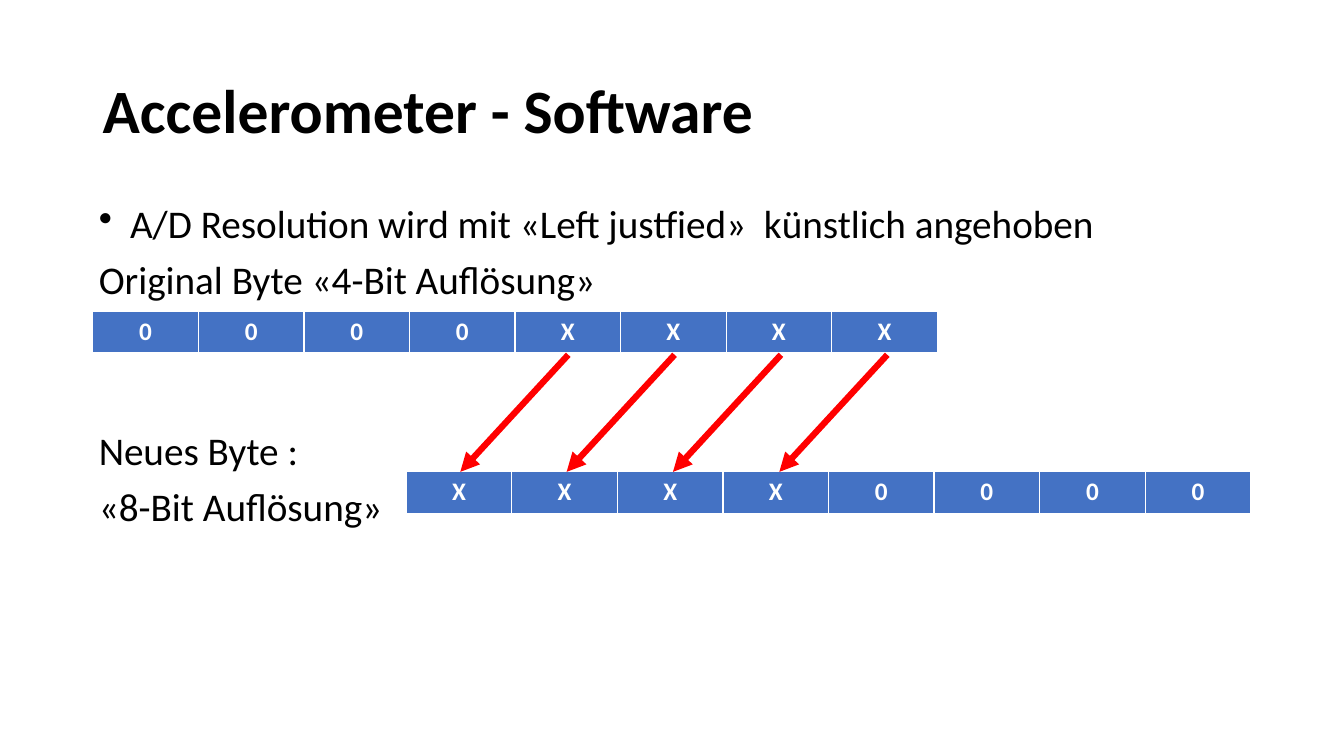
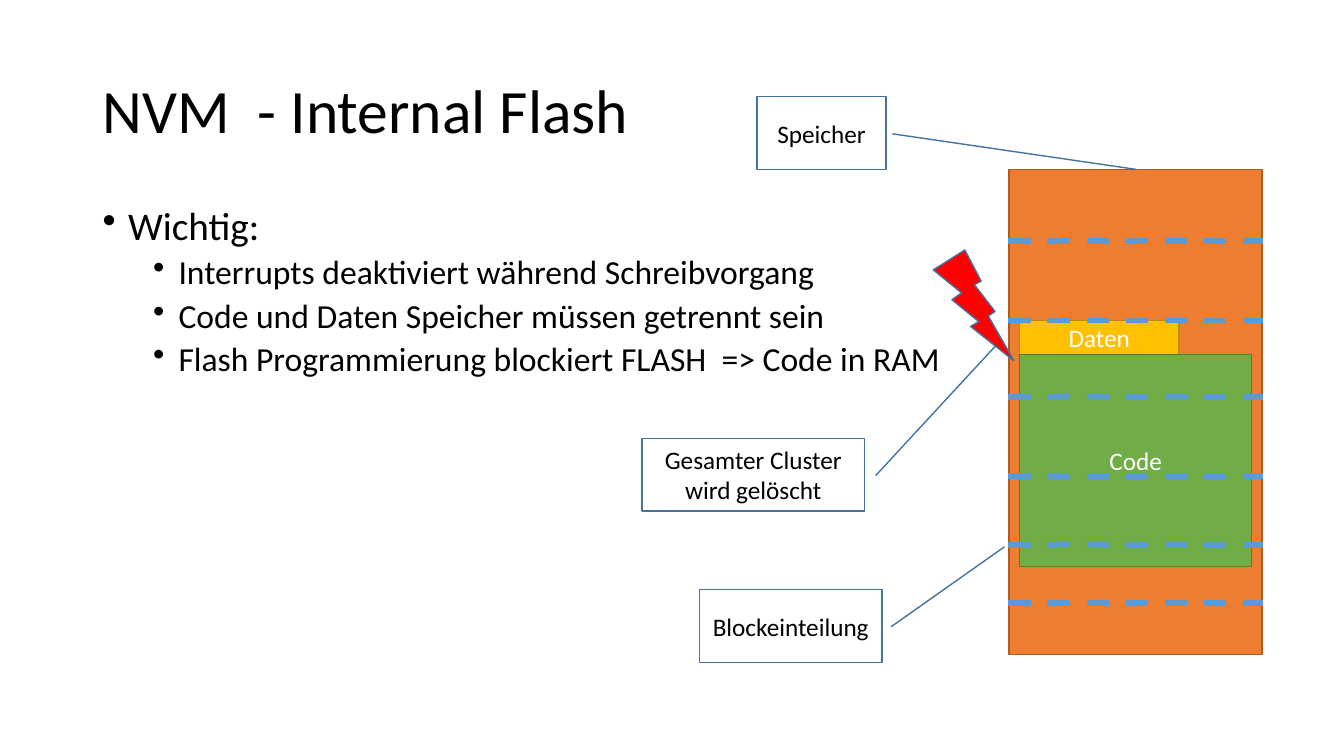
from dataclasses import dataclass

from lxml import etree
from pptx import Presentation
from pptx import util as u
from pptx.dml.color import RGBColor
from pptx.enum import dml, shapes, text
from pptx.oxml.ns import qn


@dataclass(frozen=True)
class Theme:
    font: str = "Calibri"
    ink: str = "000000"
    paper: str = "FFFFFF"
    bits: str = "4472C4"
    alert: str = "FF0000"
    outline: str = "43739E"
    memory: str = "ED7D31"
    memory_edge: str = "AF5C24"
    data: str = "FFC000"
    data_edge: str = "BD8E00"
    code: str = "70AD47"
    code_edge: str = "538035"
    divider: str = "5B9BD5"
    title_size: int = 44
    body_size: int = 28
    sub_size: int = 24
    label_size: int = 18


THEME = Theme()
TITLE_AREA = (2.34, 1.02, 29.21, 3.68)


def assign(target, values):
    for name, value in values.items():
        setattr(target, name, value)


class SlideBuilder:
    def __init__(self, theme):
        self.theme = theme
        self.deck = Presentation()
        assign(self.deck, {"slide_width": u.Cm(33.87), "slide_height": u.Cm(19.05)})
        self.page = None

    def new_page(self, title, bold=False):
        self.page = self.deck.slides.add_slide(self.deck.slide_layouts[6])
        frame = self.text_area(TITLE_AREA, text.MSO_ANCHOR.MIDDLE)
        para = frame.paragraphs[0]
        para.line_spacing = 0.9
        self.add_span(para, title, self.theme.title_size, bold=bold)

    def text_area(self, area, anchor):
        box = self.page.shapes.add_textbox(*map(u.Cm, area))
        assign(box.text_frame, {"word_wrap": True, "vertical_anchor": anchor})
        return box.text_frame

    def add_span(self, para, words, size, color=None, bold=False):
        span = para.add_run()
        span.text = words
        assign(span.font, {"name": self.theme.font, "size": u.Pt(size), "bold": bold})
        span.font.color.rgb = RGBColor.from_string(color or self.theme.ink)

    def body(self, area, lines):
        frame = self.text_area(area, text.MSO_ANCHOR.TOP)
        for index, (words, size, before, margin, hanging) in enumerate(lines):
            para = frame.add_paragraph() if index else frame.paragraphs[0]
            assign(para, {"line_spacing": 0.9, "space_before": u.Pt(before)})
            self.add_span(para, words, size)
            if hanging:
                props = para._p.get_or_add_pPr()
                props.set("marL", str(u.Cm(margin)))
                props.set("indent", str(-u.Cm(hanging)))
                etree.SubElement(props, qn("a:buChar"), char="•")

    def bit_row(self, left, top, column, bits):
        area = (left, top, column * len(bits), 1.04)
        table = self.page.shapes.add_table(1, len(bits), *map(u.Cm, area)).table
        table.horz_banding = False
        for cell, bit in zip(table.rows[0].cells, bits):
            cell.fill.solid()
            cell.fill.fore_color.rgb = RGBColor.from_string(self.theme.bits)
            para = cell.text_frame.paragraphs[0]
            para.alignment = text.PP_ALIGN.CENTER
            self.add_span(para, bit, self.theme.label_size, self.theme.paper, True)

    def line(self, start, end, color, width, dash=None, arrow=False):
        link = self.page.shapes.add_connector(
            shapes.MSO_CONNECTOR.STRAIGHT, *map(u.Cm, (*start, *end)))
        assign(link.line, {"width": u.Pt(width), "dash_style": dash})
        link.line.color.rgb = RGBColor.from_string(color)
        if arrow:
            etree.SubElement(link.line._get_or_add_ln(), qn("a:tailEnd"), type="triangle")
        etree.SubElement(link._element.spPr, qn("a:effectLst"))

    def shape(self, kind, area, edge, fill=None, label="", color=None, pointer=()):
        box = self.page.shapes.add_shape(kind, *map(u.Cm, area))
        box.shadow.inherit = False
        for index, value in enumerate(pointer):
            box.adjustments[index] = value
        if fill:
            box.fill.solid()
            box.fill.fore_color.rgb = RGBColor.from_string(fill)
        else:
            box.fill.background()
        box.line.color.rgb = RGBColor.from_string(edge)
        box.line.width = u.Pt(1)
        if label:
            frame = box.text_frame
            assign(frame, {"word_wrap": True, "vertical_anchor": text.MSO_ANCHOR.MIDDLE})
            para = frame.paragraphs[0]
            para.alignment = text.PP_ALIGN.CENTER
            self.add_span(para, label, self.theme.label_size, color)

    def callout(self, label, left, top, width, tip):
        self.shape(shapes.MSO_SHAPE.LINE_CALLOUT_1, (left, top, width, 1.83),
                   self.theme.outline, label=label, pointer=(0.51, 1.05, *tip))


def accelerometer(show):
    theme = show.theme
    show.new_page("Accelerometer - Software", bold=True)
    size = theme.body_size
    show.body((2.24, 5.03, 29.31, 12.14), [
        ("A/D Resolution wird mit «Left justfied»  künstlich angehoben", size, 10, 0.79, 0.79),
        ("Original Byte «4-Bit Auflösung»", size, 10, 0, 0),
        ("Neues Byte :", size, 91.5, 0, 0),
        ("«8-Bit Auflösung»", size, 10, 0, 0),
    ])
    show.bit_row(2.34, 7.85, 2.66, "0000XXXX")
    show.bit_row(10.24, 11.89, 2.66, "XXXX0000")
    for index in range(4):
        left = 14.32 + index * 2.68
        show.line((left, 8.94), (left - 2.72, 11.89), theme.alert, 4.5, arrow=True)


def internal_flash(show):
    theme = show.theme
    show.new_page("NVM  - Internal Flash")
    notes = ("Interrupts deaktiviert während Schreibvorgang",
             "Code und Daten Speicher müssen getrennt sein",
             "Flash Programmierung blockiert FLASH  => Code in RAM")
    show.body((2.34, 5.08, 29.21, 12.09),
              [("Wichtig:", theme.body_size, 10, 0.64, 0.64)]
              + [(note, theme.sub_size, 5, 1.91, 0.64) for note in notes])
    for area, edge, fill, label in (
        ((25.43, 4.27, 6.38, 12.22), theme.memory_edge, theme.memory, ""),
        ((25.7, 8.08, 4.01, 0.86), theme.data_edge, theme.data, "Daten"),
        ((25.7, 8.94, 5.84, 5.33), theme.code_edge, theme.code, "Code"),
    ):
        show.shape(shapes.MSO_SHAPE.RECTANGLE, area, edge, fill, label, theme.paper)
    for height in (6.07, 8.08, 10.01, 11.99, 13.74, 15.19):
        show.line((25.41, height), (31.84, height), theme.divider, 4, dml.MSO_LINE.DASH)
    show.shape(shapes.MSO_SHAPE.LIGHTNING_BOLT, (23.52, 6.3, 2.03, 2.79),
               theme.outline, theme.alert)
    show.callout("Speicher", 19.08, 2.44, 3.25, (1, 2.94))
    show.callout("Blockeinteilung", 17.63, 14.86, 4.6, (-0.59, 1.67))
    show.callout("Gesamter Cluster wird gelöscht", 16.18, 11.05, 5.61, (-1.28, 1.59))


def main():
    show = SlideBuilder(THEME)
    accelerometer(show)
    internal_flash(show)
    show.deck.save("out.pptx")


if __name__ == "__main__":
    main()
